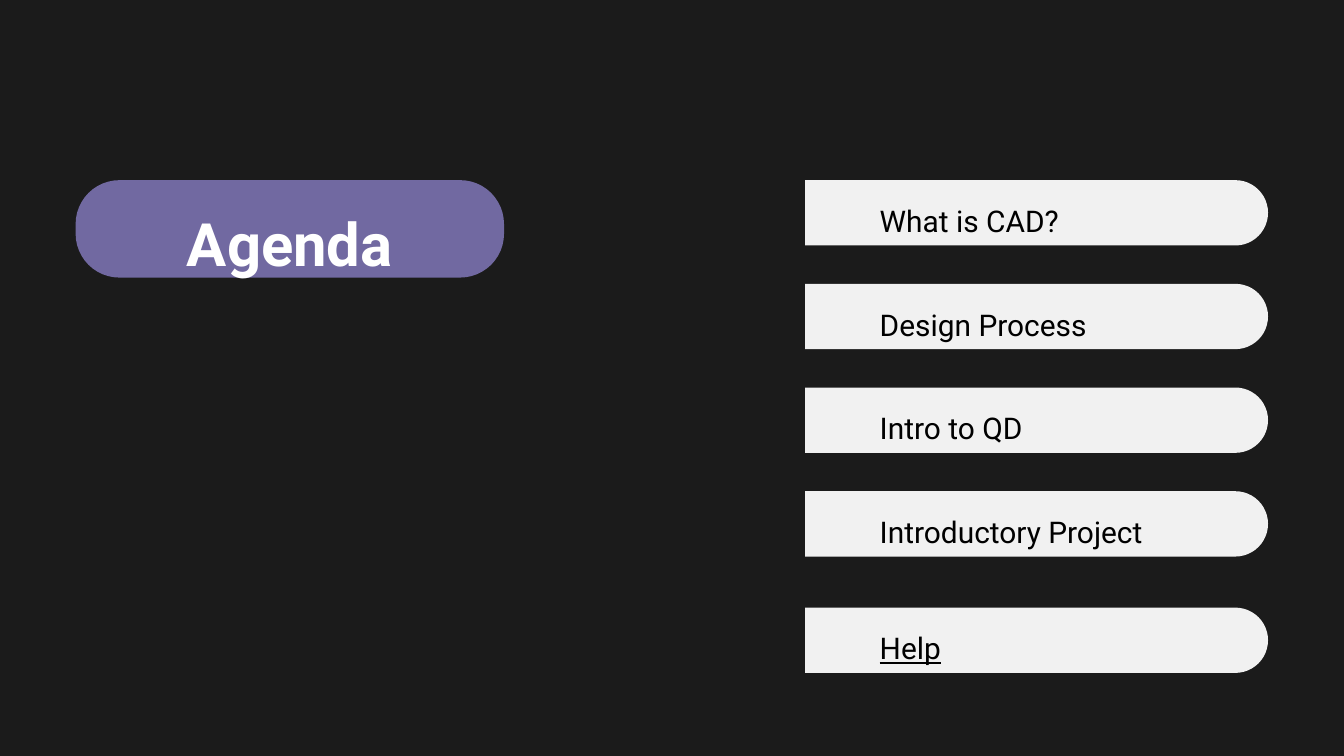
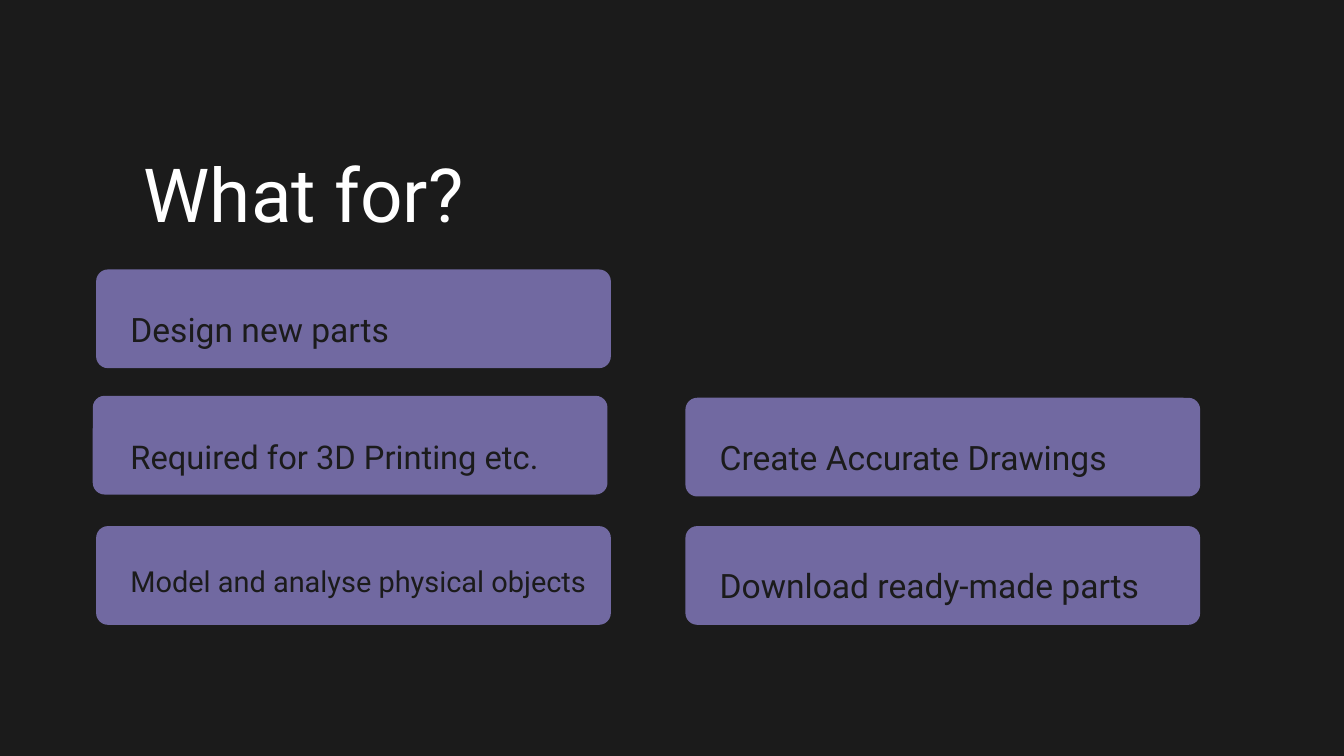
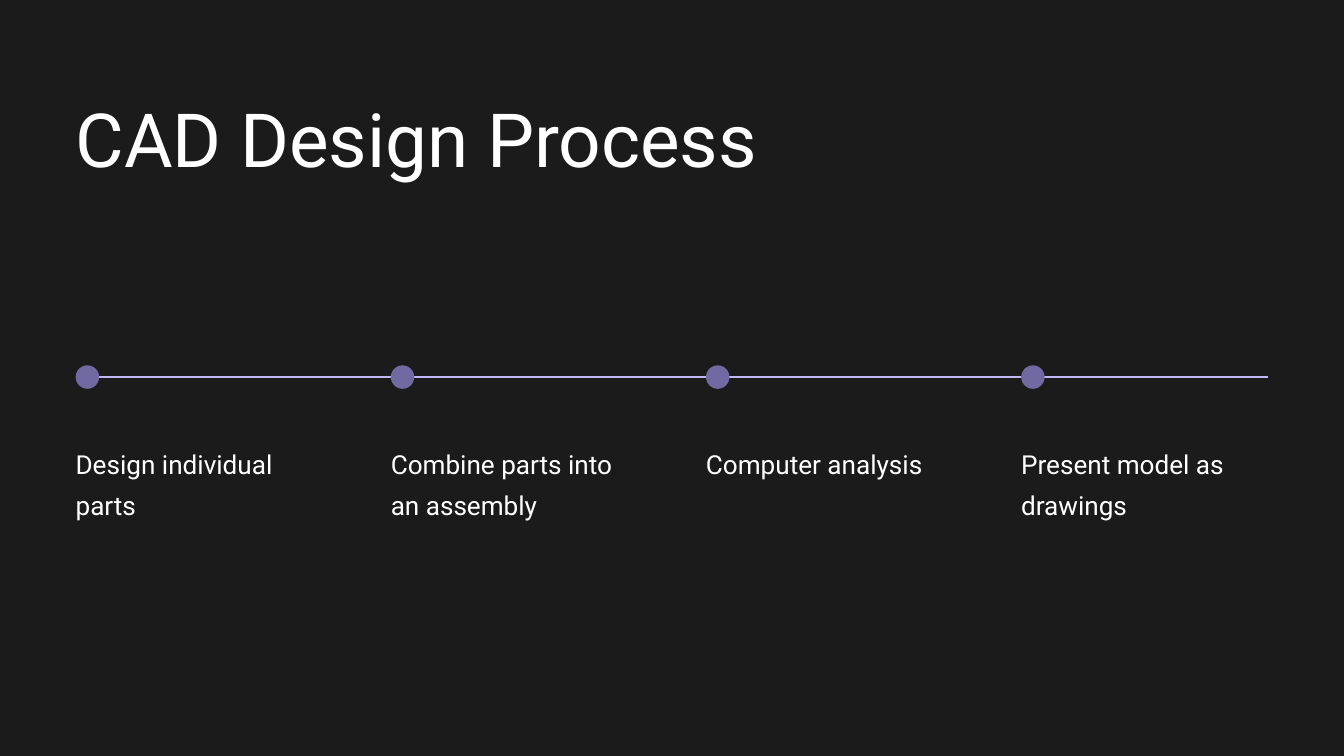
from lxml.etree import SubElement
from pptx import Presentation
from pptx.dml.color import RGBColor
from pptx.enum.shapes import MSO_CONNECTOR, MSO_SHAPE
from pptx.enum.text import MSO_ANCHOR, MSO_AUTO_SIZE, PP_ALIGN
from pptx.oxml.ns import qn
from pptx.util import Pt

DARK = RGBColor(0x1B, 0x1B, 0x1B)
PURPLE = RGBColor(0x71, 0x69, 0xA1)
LILAC = RGBColor(0xC1, 0xB7, 0xF5)
PALE = RGBColor(0xF1, 0xF1, 0xF1)
WHITE = RGBColor(0xFF, 0xFF, 0xFF)
BLACK = RGBColor(0, 0, 0)
FONT = "Roboto"
EDGE = 81  # left margin shared by the slides


def add_page(deck):
    page = deck.slides.add_slide(deck.slide_layouts[6])
    page.background.fill.solid()
    page.background.fill.fore_color.rgb = DARK
    return page


def add_form(page, kind, box, fill, *bends):
    form = page.shapes.add_shape(kind, *map(Pt, box))
    form.shadow.inherit = False
    form.fill.solid()
    form.fill.fore_color.rgb = fill
    form.line.fill.background()
    for i, bend in enumerate(bends):
        form.adjustments[i] = bend
    return form


def add_text(page, words, box, size, color, gap=1.3, bold=None, under=None):
    frame = page.shapes.add_textbox(*map(Pt, box)).text_frame
    frame.word_wrap = True
    frame.auto_size = MSO_AUTO_SIZE.SHAPE_TO_FIT_TEXT
    frame.margin_left = frame.margin_right = 0
    frame.margin_top = frame.margin_bottom = 0
    para = frame.paragraphs[0]
    para.line_spacing = gap
    run = para.add_run()
    run.text = words
    run.font.name, run.font.size = FONT, Pt(size)
    run.font.bold, run.font.underline = bold, under
    run.font.color.rgb = color
    return frame


def add_title(page, words, left, top, width):
    add_text(page, words, (left, top, width, 97), 80, WHITE, 1.2)


# Agenda: title pill and stacked tabs
def add_pill(page, words, box):
    add_form(page, MSO_SHAPE.ROUNDED_RECTANGLE, box, PURPLE, 0.45)
    left, top, width, height = box
    tall = 352.8
    area = (left + 76.5, top + (height - tall) / 2 - 1, width - 153, tall)
    frame = add_text(page, words, area, 64, WHITE, 1.4, bold=True)
    frame.auto_size = MSO_AUTO_SIZE.NONE
    frame.vertical_anchor = MSO_ANCHOR.MIDDLE
    frame.paragraphs[0].alignment = PP_ALIGN.CENTER


def add_tab(page, words, box, under=None):
    left, top, width, height = box
    # Turned a quarter so that the round end faces right
    turn = (width - height) / 2
    form = add_form(page, MSO_SHAPE.ROUND_2_SAME_RECTANGLE,
                    (left + turn, top - turn, height, width), PALE, 0.5, 0)
    form.rotation = 90
    add_text(page, words, (left + 80, top + 8.6, width - 106, 39),
             32, BLACK, 1.4, under=under)


def add_agenda(deck):
    page = add_page(deck)
    top, step = 193, 111.1
    add_pill(page, "Agenda", (EDGE, top, 459, 104.4))
    topics = ("What is CAD?", "Design Process", "Intro to QD",
              "Introductory Project")
    for i, topic in enumerate(topics):
        add_tab(page, topic, (862.6, top + i * step, 496, 70))
    add_tab(page, "Help", (862.6, 651, 496, 70), under=True)


# Uses: a grid of cards
def add_card(page, words, box, size=36, shift=(0, 0)):
    left, top, width, height = box
    spot = (left + shift[0], top + shift[1], width, height)
    add_form(page, MSO_SHAPE.ROUNDED_RECTANGLE, spot, PURPLE, 0.12)
    add_text(page, words, (left + 36.7, top + 28.8, width - 36.7, 44),
             size, DARK)


def add_uses(deck):
    page = add_page(deck)
    add_title(page, "What for?", 154, 139.7, 526)
    cards = (
        (0, 0, "Design new parts", 36, (0, 0)),
        (0, 1, "Required for 3D Printing etc.", 35, (-3.6, -2.1)),
        (0, 2, "Model and analyse physical objects", 31, (0, 0)),
        (1, 1, "Create Accurate Drawings", 36, (0, 0)),
        (1, 2, "Download ready-made parts", 36, (0, 0)),
    )
    for col, row, words, size, shift in cards:
        box = (103 + col * 631.4, 288.7 + row * 137.5, 551.5, 105.8)
        add_card(page, words, box, size, shift)


# Process: dots on a line, each with its step below
def add_track(page, steps, box):
    left, top, width, dot = box
    pitch, mid = 337.7, top + dot / 2
    rule = page.shapes.add_connector(
        MSO_CONNECTOR.STRAIGHT, Pt(left + dot / 2), Pt(mid),
        Pt(left + width), Pt(mid))
    rule.line.color.rgb = LILAC
    rule.line.width = Pt(1.5)
    SubElement(rule._element.spPr, qn("a:effectLst"))
    for i, words in enumerate(steps):
        spot = left + i * pitch
        add_form(page, MSO_SHAPE.OVAL, (spot, top, dot, dot), PURPLE)
        add_text(page, words, (spot, top + 78.8, 265, 78), 28, WHITE)


def add_process(deck):
    page = add_page(deck)
    add_title(page, "CAD Design Process", EDGE, 80, 1278)
    steps = ("Design individual parts", "Combine parts into an assembly",
             "Computer analysis", "Present model as drawings")
    add_track(page, steps, (EDGE, 391.4, 1278, 25.2))


def main():
    deck = Presentation()
    deck.slide_width, deck.slide_height = Pt(1440), Pt(810)
    add_agenda(deck)
    add_uses(deck)
    add_process(deck)
    deck.save("out.pptx")


if __name__ == "__main__":
    main()
